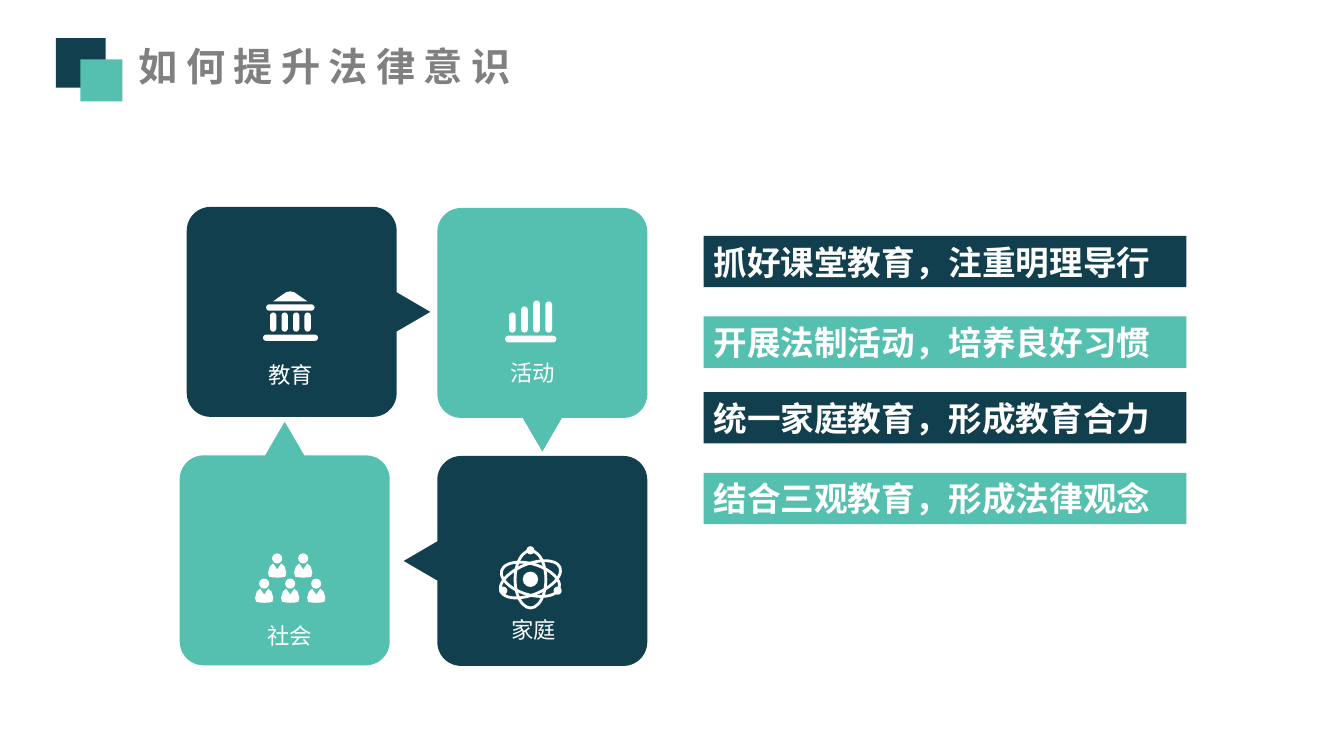
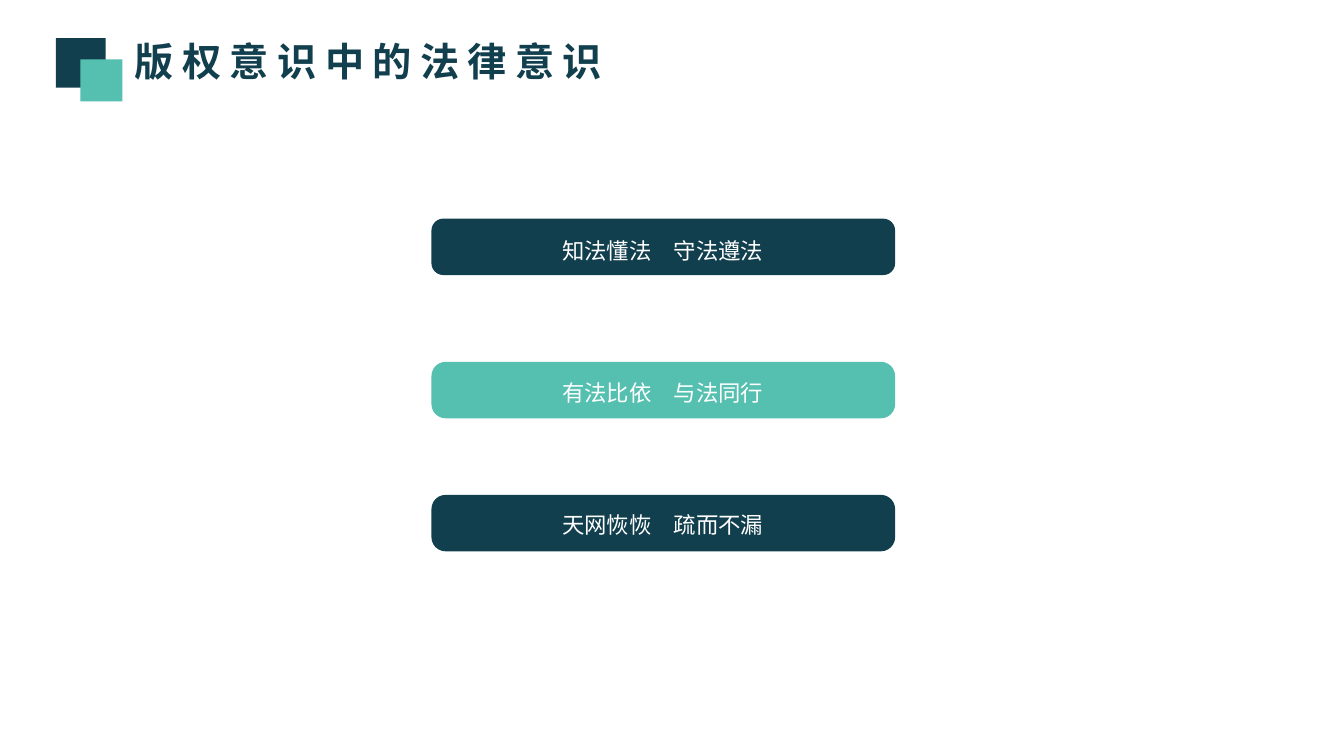
"""Build two slides on raising legal awareness."""
from dataclasses import dataclass
from itertools import cycle
from math import cos, radians, sin
from typing import NamedTuple, Optional

from lxml.etree import SubElement
from pptx import Presentation
from pptx.dml.color import RGBColor
from pptx.enum.shapes import MSO_SHAPE as Preset
from pptx.enum.text import MSO_ANCHOR as Anchor
from pptx.enum.text import MSO_AUTO_SIZE as AutoSize
from pptx.enum.text import PP_ALIGN as Align
from pptx.oxml.ns import qn
from pptx.shapes.autoshape import Shape
from pptx.slide import Slide
from pptx.text.text import TextFrame
from pptx.util import Pt

COLORS = {"navy": "113F4E", "teal": "55C0AF", "gray": "808080", "white": "FFFFFF"}
CJK_FONT = "Noto Sans CJK SC"
CARD_SIZE, CARD_RADIUS = 150, 17
TIP_LENGTH, TIP_HALF_WIDTH = 24, 14
ROOF = [(0, 7.2), (5, 3.6), (9.4, 0.7), (12.2, 0), (15.1, 0.7), (24.5, 7.2)]
BODY = [(6.5, 4.3), (3.6, 0), (1.2, 2.2), (0, 6.5), (0.7, 9.4), (3.6, 10),
        (6.5, 10.1), (9.4, 10), (12.3, 9.4), (13, 6.5), (11.8, 2.2), (9.4, 0)]


class Box(NamedTuple):
    left: float
    top: float
    width: float
    height: float


class Orbit(NamedTuple):
    length: float
    rotation: float


@dataclass
class Card:
    center: tuple[float, float]
    direction: int
    color: str
    label: str
    label_at: tuple[float, float]


@dataclass
class Banner:
    top: float
    text: str
    text_top: float = 0
    rounding: float = 0


CARDS = [
    Card((208.4, 222.8), 0, "navy", "教育", (185.8, 254.9)),
    Card((387.4, 223.6), 90, "teal", "活动", (358.6, 253.4)),
    Card((203.4, 400.3), 270, "teal", "社会", (185, 441.4)),
    Card((387.4, 400.7), 180, "navy", "家庭", (359.3, 437)),
]
MEASURES = [
    Banner(168.5, "抓好课堂教育，注重明理导行"),
    Banner(226, "开展法制活动，培养良好习惯"),
    Banner(280, "统一家庭教育，形成教育合力"),
    Banner(337.7, "结合三观教育，形成法律观念"),
]
MOTTOES = [
    Banner(156.2, "知法懂法\u3000守法遵法", 165.6, 0.21),
    Banner(258.5, "有法比依\u3000与法同行", 267.1, 0.25),
    Banner(353.5, "天网恢恢\u3000疏而不漏", 361.4, 0.25),
]


def rgb(color: str) -> RGBColor:
    return RGBColor.from_string(COLORS[color])


def paint(shape: Shape, color: str) -> Shape:
    shape.shadow.inherit = False
    shape.fill.solid()
    shape.fill.fore_color.rgb = rgb(color)
    shape.line.fill.background()
    return shape


def add_preset(slide: Slide, preset: Preset, box: Box, color: str = "white",
               rounding: Optional[float] = None) -> Shape:
    shape = slide.shapes.add_shape(preset, *map(Pt, box))
    if rounding is not None:
        shape.adjustments[0] = rounding
    return paint(shape, color)


def add_outline(slide: Slide, points: list[tuple[float, float]], color: str = "white",
                offset: tuple[float, float] = (0, 0)) -> Shape:
    placed = [(Pt(offset[0] + x), Pt(offset[1] + y)) for x, y in points]
    builder = slide.shapes.build_freeform(*placed[0])
    builder.add_line_segments(placed[1:], close=True)
    return paint(builder.convert_to_shape(), color)


def write(frame: TextFrame, text: str, *, size: float, color: str = "white",
          font: str = CJK_FONT, bold: bool = False, align: Align = Align.LEFT,
          anchor: Anchor = Anchor.TOP, spacing: float = 0, wrap: bool = True,
          grow: bool = False, line_spacing: Optional[float] = None,
          insets: tuple[float, float] = (7.2, 3.6)) -> None:
    frame.word_wrap = wrap
    frame.auto_size = AutoSize.SHAPE_TO_FIT_TEXT if grow else AutoSize.NONE
    frame.vertical_anchor = anchor
    frame.margin_left = frame.margin_right = Pt(insets[0])
    frame.margin_top = frame.margin_bottom = Pt(insets[1])
    paragraph = frame.paragraphs[0]
    paragraph.alignment = align
    paragraph.line_spacing = line_spacing
    run = paragraph.add_run()
    run.text = text
    run.font.size, run.font.bold = Pt(size), bold
    run.font.color.rgb = rgb(color)
    run.font.name = font
    properties = run.font._element
    SubElement(properties, qn("a:ea")).set("typeface", CJK_FONT)
    if spacing:
        properties.set("spc", str(round(spacing * 100)))


def add_text(slide: Slide, box: Box, text: str, **text_format) -> None:
    write(slide.shapes.add_textbox(*map(Pt, box)).text_frame, text, **text_format)


def add_header(slide: Slide, title: str, box: Box, color: str, align: Align) -> None:
    add_text(slide, box, title, size=28, color=color, bold=True, align=align,
             spacing=6, wrap=False, grow=True)
    add_preset(slide, Preset.RECTANGLE, Box(40, 27.2, 35.5, 35.5), "navy")
    add_preset(slide, Preset.RECTANGLE, Box(57.4, 42.4, 30, 30), "teal")


def card_outline(direction: int) -> list[tuple[float, float]]:
    half = CARD_SIZE / 2
    inner = half - CARD_RADIUS
    points = [(half, -TIP_HALF_WIDTH), (half + TIP_LENGTH, 0), (half, TIP_HALF_WIDTH)]
    for start, (x, y) in zip(range(0, 360, 90), [(1, 1), (-1, 1), (-1, -1), (1, -1)]):
        for angle in range(start, start + 91, 10):
            points.append((x * inner + CARD_RADIUS * cos(radians(angle)),
                           y * inner + CARD_RADIUS * sin(radians(angle))))
    cosine, sine = cos(radians(direction)), sin(radians(direction))
    return [(x * cosine - y * sine, x * sine + y * cosine) for x, y in points]


def add_pill(slide: Slide, box: Box) -> None:
    add_preset(slide, Preset.ROUNDED_RECTANGLE, box, rounding=0.5)


def add_dot(slide: Slide, x: float, y: float, size: float) -> None:
    add_preset(slide, Preset.OVAL, Box(x - size / 2, y - size / 2, size, size))


def draw_school(slide: Slide) -> None:
    add_outline(slide, ROOF, offset=(195.1, 208.1))
    add_pill(slide, Box(190.1, 217.4, 34.6, 4.5))
    for column in range(4):
        add_pill(slide, Box(192.9 + 8.2 * column, 223.2, 4.5, 13.7))
    add_pill(slide, Box(187.9, 239, 39.3, 4.5))


def draw_bar_icon(slide: Slide) -> None:
    for index, height in enumerate([14.4, 18.7, 23, 22.3]):
        add_pill(slide, Box(363.6 + 8.65 * index, 237.6 - height, 4.8, height))
    add_pill(slide, Box(360.7, 239.8, 36.7, 4.7))


def draw_people(slide: Slide) -> None:
    for count, left, top in [(2, 191.5, 395.3), (3, 182.2, 413.3)]:
        for index in range(count):
            x = left + 18.6 * index
            add_dot(slide, x + 6.5, top + 3.6, 7.2)
            add_outline(slide, BODY, offset=(x, top + 7.2))


def draw_atom(slide: Slide) -> None:
    x, y = 378.9, 413.8
    for orbit in [Orbit(41, 90), Orbit(45.5, -22), Orbit(43, 17)]:
        ring = add_preset(slide, Preset.OVAL,
                          Box(x - orbit.length / 2, y - 11, orbit.length, 22))
        ring.rotation = orbit.rotation
        ring.fill.background()
        ring.line.color.rgb = rgb("white")
        ring.line.width = Pt(2)
    add_dot(slide, x, y, 11)
    for shift, rise in [(19.4, 8.1), (-19.4, 8.1), (0, -20.7)]:
        add_dot(slide, x + shift, y + rise, 5.8)


def build_awareness(slide: Slide) -> None:
    add_header(slide, "如何提升法律意识", Box(87.1, 26.6, 289.4, 41), "gray", Align.CENTER)
    icons = [draw_school, draw_bar_icon, draw_people, draw_atom]
    for card, draw_icon in zip(CARDS, icons):
        add_outline(slide, card_outline(card.direction), card.color, card.center)
        draw_icon(slide)
        add_text(slide, Box(*card.label_at, 43.9, 25.2), card.label, size=16,
                 wrap=False, grow=True, insets=(5.8, 2.9))
    for measure, color in zip(MEASURES, cycle(["navy", "teal"])):
        bar = add_preset(slide, Preset.RECTANGLE, Box(502.6, measure.top, 344.9, 36.7), color)
        write(bar.text_frame, measure.text, size=24, font="Arial", bold=True,
              align=Align.JUSTIFY, anchor=Anchor.MIDDLE)


def build_copyright(slide: Slide) -> None:
    add_header(slide, "版权意识中的法律意识", Box(89.3, 23, 357.8, 41), "navy", Align.LEFT)
    for motto, color in zip(MOTTOES, cycle(["navy", "teal"])):
        add_preset(slide, Preset.ROUNDED_RECTANGLE, Box(308.2, motto.top, 331.2, 40.3),
                   color, motto.rounding)
        panel = add_preset(slide, Preset.RECTANGLE,
                           Box(321.8, motto.text_top, 303.1, 21.6), color)
        write(panel.text_frame, motto.text, size=16, align=Align.CENTER, grow=True,
              line_spacing=1.2, insets=(0, 0))


def main() -> None:
    presentation = Presentation()
    presentation.slide_width, presentation.slide_height = Pt(960), Pt(540)
    for build in (build_awareness, build_copyright):
        build(presentation.slides.add_slide(presentation.slide_layouts[6]))
    presentation.save("out.pptx")


main()
